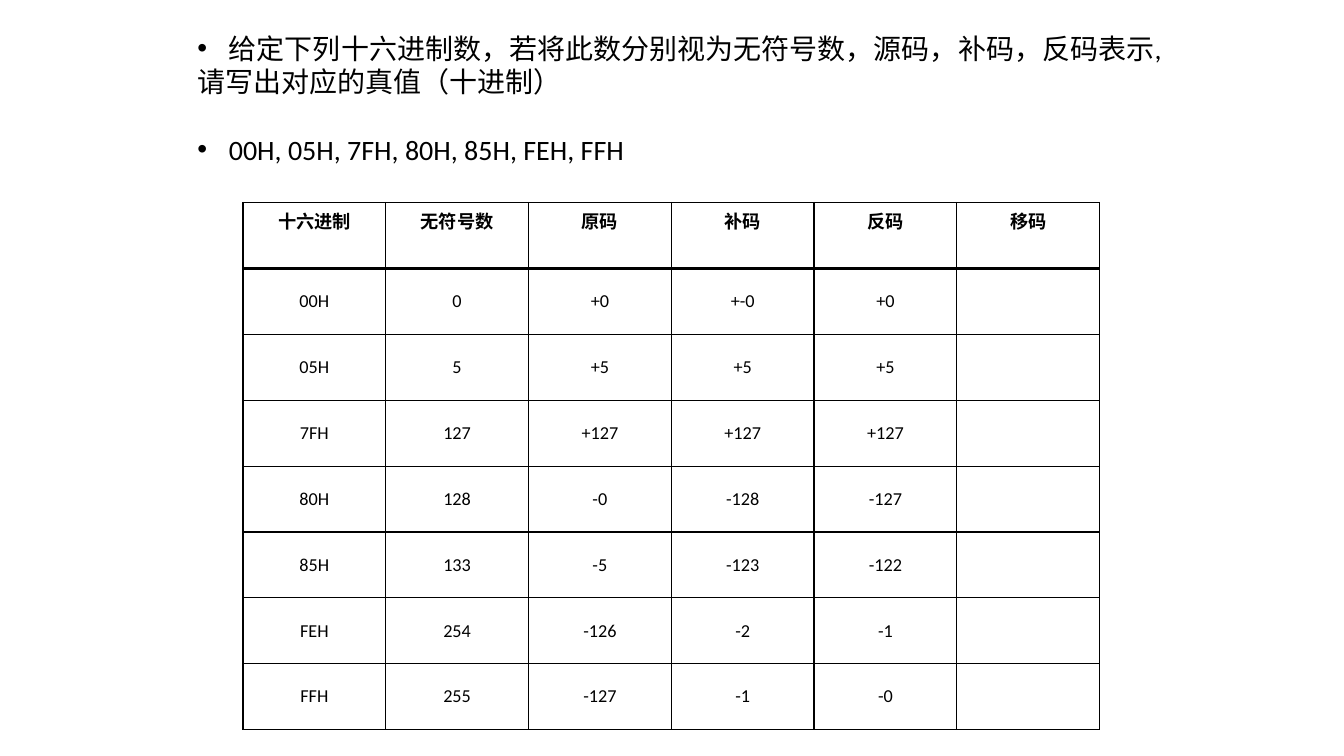
"""Build a slide on hexadecimal codes and their decimal values."""
from lxml.etree import SubElement as Sub
from pptx import Presentation
from pptx.dml.color import RGBColor as RGB
from pptx.enum.text import MSO_ANCHOR as Anchor, MSO_AUTO_SIZE as Auto, PP_ALIGN as Align
from pptx.oxml import parse_xml
from pptx.oxml.ns import nsdecls, qn
from pptx.util import Pt


def color(code):
    return RGB.from_string(code)


def write(para, text, size=13, bold=False, align=Align.LEFT, gap=0, bullet=False):
    para.alignment = align
    para.space_before = Pt(gap)
    if bullet:
        props = para._p.get_or_add_pPr()
        props.set("marL", str(Pt(22.5)))
        props.set("indent", str(Pt(-22.5)))
        Sub(props, qn("a:buFont")).set("typeface", "Arial")
        Sub(props, qn("a:buChar")).set("char", "•")
    run = para.add_run()
    run.text = text
    font = run.font
    font.name, font.size, font.bold = "Calibri", Pt(size), bold
    font.color.rgb = color("000000")


deck = Presentation()
deck.slide_width, deck.slide_height = Pt(960), Pt(540)
slide = deck.slides.add_slide(deck.slide_layouts[6])

rows = [
    ["十六进制", "无符号数", "原码", "补码", "反码", "移码"],
    ["00H", "0", "+0", "+-0", "+0", ""],
    ["05H", "5", "+5", "+5", "+5", ""],
    ["7FH", "127", "+127", "+127", "+127", ""],
    ["80H", "128", "-0", "-128", "-127", ""],
    ["85H", "133", "-5", "-123", "-122", ""],
    ["FEH", "254", "-126", "-2", "-1", ""],
    ["FFH", "255", "-127", "-1", "-0", ""],
]
wide, high = 102, 47.07
frame = slide.shapes.add_table(len(rows), len(rows[0]), Pt(173.5), Pt(144.7),
                               Pt(wide * len(rows[0])), Pt(high * len(rows)))
table = frame.table
table.first_row = table.horz_banding = False
for col in table.columns:
    col.width = Pt(wide)
for r, row in enumerate(rows):
    table.rows[r].height = Pt(high)
    head = r == 0
    for c, text in enumerate(row):
        cell = table.cell(r, c)
        cell.fill.background()
        cell.vertical_anchor = Anchor.TOP if head else Anchor.MIDDLE
        if text:
            write(cell.text_frame.paragraphs[0], text, bold=head, align=Align.CENTER)
        for i, side in enumerate("LRTB"):
            width = Pt(2 if head and side == "B" else 1)
            line = parse_xml(
                f'<a:ln{side} {nsdecls("a")} w="{width}"><a:solidFill>'
                f'<a:srgbClr val="000000"/></a:solidFill></a:ln{side}>')
            cell._tc.get_or_add_tcPr().insert(i, line)

box = slide.shapes.add_textbox(Pt(133.9), Pt(18.7), Pt(708.5), Pt(104.4))
body = box.text_frame
body.word_wrap = False
body.auto_size = Auto.SHAPE_TO_FIT_TEXT
write(body.paragraphs[0], "给定下列十六进制数，若将此数分别视为无符号数，源码，补码，反码表示,",
      size=20, bullet=True)
write(body.add_paragraph(), "请写出对应的真值（十进制）", size=20)
write(body.add_paragraph(), "00H, 05H, 7FH, 80H, 85H, FEH, FFH",
      size=20, gap=24.4, bullet=True)

deck.save("out.pptx")
